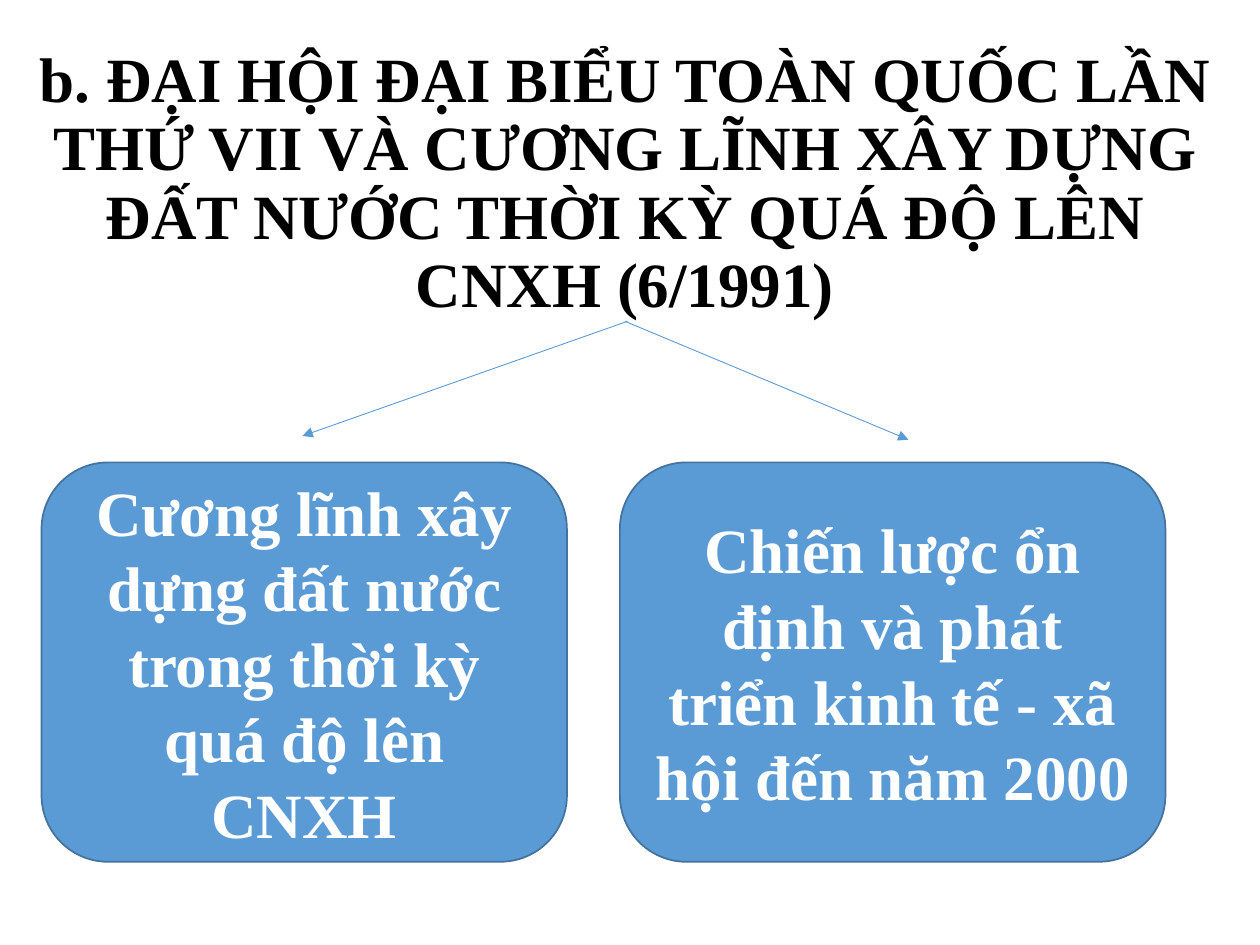
from dataclasses import dataclass

from lxml.etree import SubElement
from pptx import Presentation
from pptx.dml.color import RGBColor as RGB
from pptx.enum.shapes import MSO_CONNECTOR, MSO_SHAPE
from pptx.enum.text import MSO_ANCHOR, MSO_AUTO_SIZE, PP_ALIGN
from pptx.oxml.ns import qn
from pptx.util import Inches, Pt


@dataclass(frozen=True)
class Theme:
    font: str = "Times New Roman"
    size: float = 36
    ink: RGB = RGB(0, 0, 0)
    light: RGB = RGB(0xFF, 0xFF, 0xFF)
    blue: RGB = RGB(0x5B, 0x9B, 0xD5)
    border: RGB = RGB(0x43, 0x73, 0x9E)


THEME = Theme()
TITLE = ("b. ĐẠI HỘI ĐẠI BIỂU TOÀN QUỐC LẦN THỨ VII VÀ CƯƠNG LĨNH XÂY DỰNG "
         "ĐẤT NƯỚC THỜI KỲ QUÁ ĐỘ LÊN CNXH (6/1991)")
BOX_TOP, BOX_HEIGHT = 3.67, 3.17
DOCUMENTS = [  # left, width, text
    (0.33, 4.17, "Cương lĩnh xây dựng đất nước trong thời kỳ quá độ lên CNXH"),
    (4.92, 4.33, "Chiến lược ổn định và phát triển kinh tế - xã hội đến năm 2000"),
]
ARROWS = [((4.96, 2.55), (7.21, 3.49)), ((4.98, 2.55), (2.4, 3.46))]


def write(tf, text, color, line_spacing=None):
    tf.word_wrap = True
    tf.auto_size = MSO_AUTO_SIZE.NONE
    tf.vertical_anchor = MSO_ANCHOR.MIDDLE
    p = tf.paragraphs[0]
    p.alignment = PP_ALIGN.CENTER
    p.line_spacing = line_spacing
    r = p.add_run()
    r.text = text
    r.font.name = THEME.font
    r.font.size = Pt(THEME.size)
    r.font.bold = True
    r.font.color.rgb = color


def set_title(s, text):
    title = s.shapes.title
    title.left, title.top = Inches(0.17), Inches(1.08)
    title.width, title.height = Inches(9.58), Inches(0.77)
    write(title.text_frame, text, THEME.ink, line_spacing=0.9)


def add_box(s, left, width, text):
    sp = s.shapes.add_shape(MSO_SHAPE.ROUNDED_RECTANGLE, Inches(left),
                            Inches(BOX_TOP), Inches(width), Inches(BOX_HEIGHT))
    sp.shadow.inherit = False
    sp.fill.solid()
    sp.fill.fore_color.rgb = THEME.blue
    sp.line.color.rgb = THEME.border
    sp.line.width = Pt(1)
    write(sp.text_frame, text, THEME.light)


def add_arrow(s, start, end):
    points = [Inches(v) for v in (*start, *end)]
    arrow = s.shapes.add_connector(MSO_CONNECTOR.STRAIGHT, *points)
    arrow.line.color.rgb = THEME.blue
    arrow.line.width = Pt(0.5)
    SubElement(arrow.line._get_or_add_ln(), qn("a:tailEnd"), type="triangle")
    SubElement(arrow._element.spPr, qn("a:effectLst"))


def main():
    prs = Presentation()
    prs.slide_width, prs.slide_height = Inches(10), Inches(7.5)
    s = prs.slides.add_slide(prs.slide_layouts[5])
    set_title(s, TITLE)
    for left, width, text in DOCUMENTS:
        add_box(s, left, width, text)
    for start, end in ARROWS:
        add_arrow(s, start, end)
    prs.save("out.pptx")


if __name__ == "__main__":
    main()
